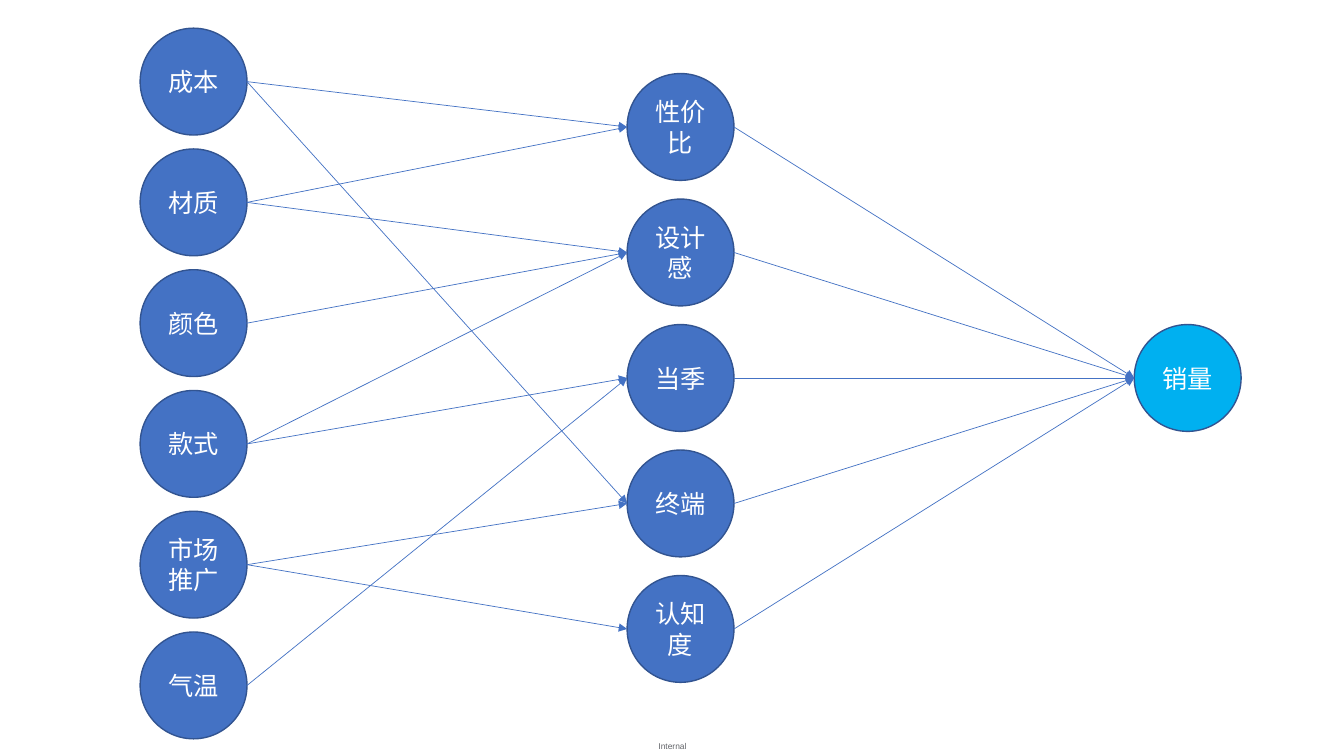
from dataclasses import dataclass

from lxml import etree
from pptx import Presentation
from pptx.dml.color import RGBColor
from pptx.enum.shapes import MSO_CONNECTOR, MSO_SHAPE
from pptx.enum.text import MSO_ANCHOR, MSO_AUTO_SIZE, PP_ALIGN
from pptx.oxml.ns import qn
from pptx.util import Inches, Pt

STRAIGHT = MSO_CONNECTOR.STRAIGHT
OVAL = MSO_SHAPE.OVAL
MIDDLE = MSO_ANCHOR.MIDDLE
GROW = MSO_AUTO_SIZE.SHAPE_TO_FIT_TEXT
CENTER = PP_ALIGN.CENTER


@dataclass(frozen=True)
class Theme:
    node: RGBColor = RGBColor(0x44, 0x72, 0xC4)
    target: RGBColor = RGBColor(0x00, 0xB0, 0xF0)
    outline: RGBColor = RGBColor(0x32, 0x54, 0x91)
    node_text: RGBColor = RGBColor(0xFF, 0xFF, 0xFF)
    footer_text: RGBColor = RGBColor(0x62, 0x64, 0x69)
    node_font: str = "Noto Sans CJK SC"
    footer_font: str = "Arial"
    node_size: Pt = Pt(18)
    footer_size: Pt = Pt(6)
    outline_width: Pt = Pt(1)
    arrow_width: Pt = Pt(0.5)


THEME = Theme()
DIAMETER = Inches(1.06)

FACTORS = ["成本", "材质", "颜色", "款式", "市场推广", "气温"]
DRIVERS = ["性价比", "设计感", "当季", "终端", "认知度"]
OUTCOME = "销量"
INFLUENCES = {
    "成本": ["性价比", "终端"],
    "材质": ["性价比", "设计感"],
    "颜色": ["设计感"],
    "款式": ["设计感", "当季"],
    "市场推广": ["终端", "认知度"],
    "气温": ["当季"],
} | {driver: [OUTCOME] for driver in DRIVERS}


def write_text(frame, text, font, size, color):
    frame.vertical_anchor = MIDDLE
    para = frame.paragraphs[0]
    para.alignment = CENTER
    span = para.add_run()
    span.text = text
    for name, value in {"name": font, "size": size}.items():
        setattr(span.font, name, value)
    span.font.color.rgb = color
    east_asian = etree.SubElement(span.font._element, qn("a:ea"))
    east_asian.set("typeface", font)


def add_node(page, label, left, top, fill):
    node = page.shapes.add_shape(OVAL, left, top, DIAMETER, DIAMETER)
    node.shadow.inherit = False
    node.fill.solid()
    node.fill.fore_color.rgb = fill
    node.line.color.rgb = THEME.outline
    node.line.width = THEME.outline_width
    write_text(node.text_frame, label, THEME.node_font, THEME.node_size, THEME.node_text)
    return node


def add_column(page, labels, left, top, height, fill):
    pitch = (height - DIAMETER) / max(len(labels) - 1, 1)
    return {
        label: add_node(page, label, left, int(top + row * pitch), fill)
        for row, label in enumerate(labels)
    }


def add_arrow(page, source, target):
    arrow = page.shapes.add_connector(
        STRAIGHT,
        source.left + source.width,
        source.top + source.height // 2,
        target.left,
        target.top + target.height // 2,
    )
    arrow.line.color.rgb = THEME.node
    arrow.line.width = THEME.arrow_width
    etree.SubElement(arrow.line._get_or_add_ln(), qn("a:tailEnd")).set("type", "triangle")
    etree.SubElement(arrow._element.spPr, qn("a:effectLst"))


def add_network(page, left, top, width, height):
    driver_top = top + Inches(0.45)
    driver_height = Inches(6.04)
    outcome_top = driver_top + (driver_height - DIAMETER) // 2
    nodes = {
        **add_column(page, FACTORS, left, top, height, THEME.node),
        **add_column(page, DRIVERS, left + Inches(4.83), driver_top, driver_height, THEME.node),
        **add_column(page, [OUTCOME], left + width - DIAMETER, outcome_top, DIAMETER, THEME.target),
    }
    for source, targets in INFLUENCES.items():
        for target in targets:
            add_arrow(page, nodes[source], nodes[target])


def add_footer(page, left, top, width, height):
    box = page.shapes.add_textbox(left, top, width, height)
    frame = box.text_frame
    settings = {
        "margin_left": 0,
        "margin_right": 0,
        "margin_top": 0,
        "margin_bottom": 0,
        "word_wrap": True,
        "auto_size": GROW,
    }
    for name, value in settings.items():
        setattr(frame, name, value)
    write_text(frame, "Internal", THEME.footer_font, THEME.footer_size, THEME.footer_text)


def main():
    deck = Presentation()
    deck.slide_width = Inches(13.33)
    deck.slide_height = Inches(7.5)
    page = deck.slides.add_slide(deck.slide_layouts[6])
    add_footer(page, Inches(6.42), Inches(7.35), Inches(0.5), Inches(0.1))
    add_network(page, Inches(1.39), Inches(0.28), Inches(10.92), Inches(7.05))
    deck.save("out.pptx")


if __name__ == "__main__":
    main()
